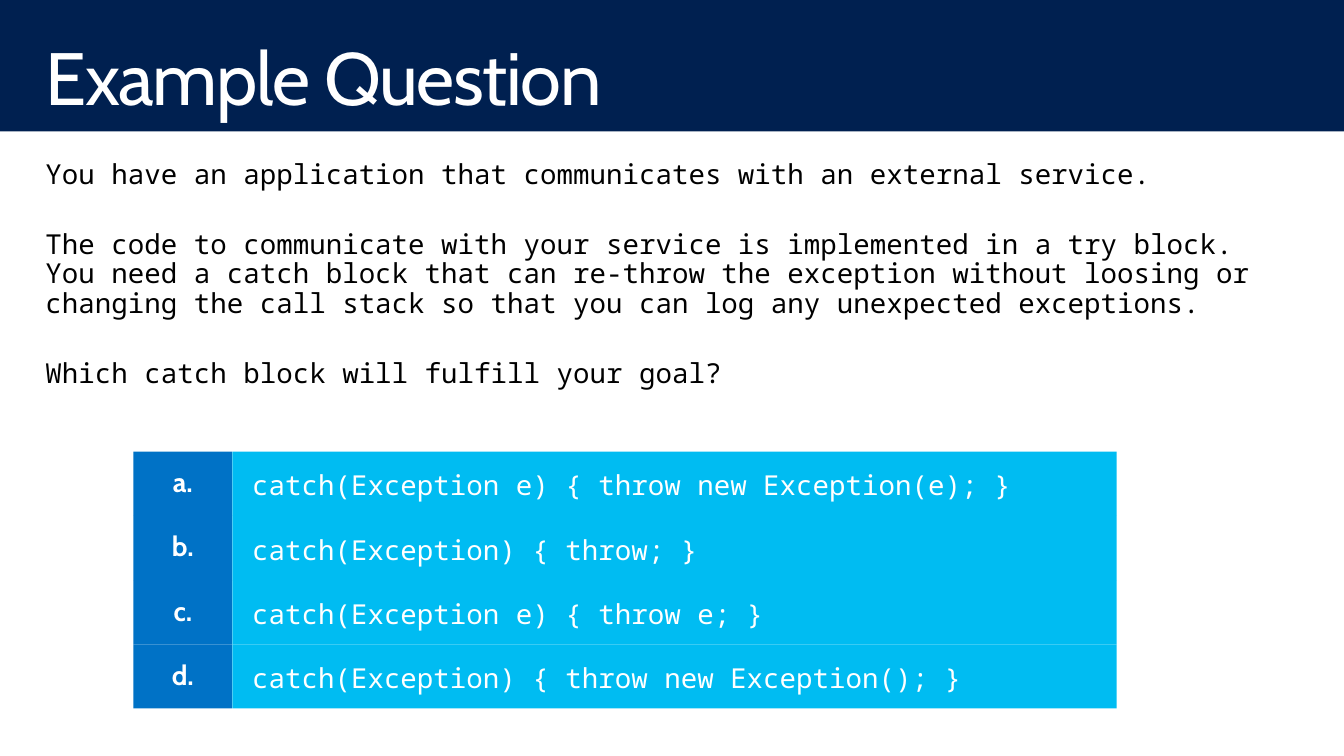
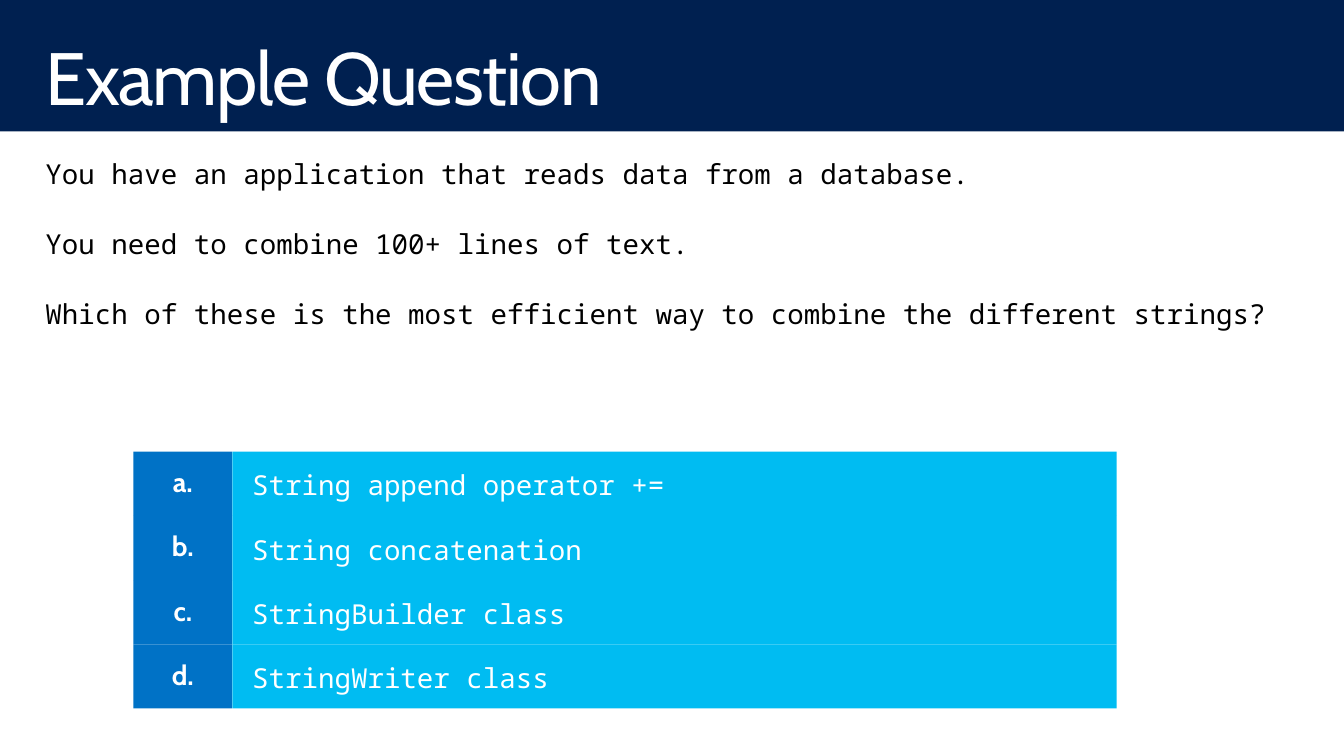
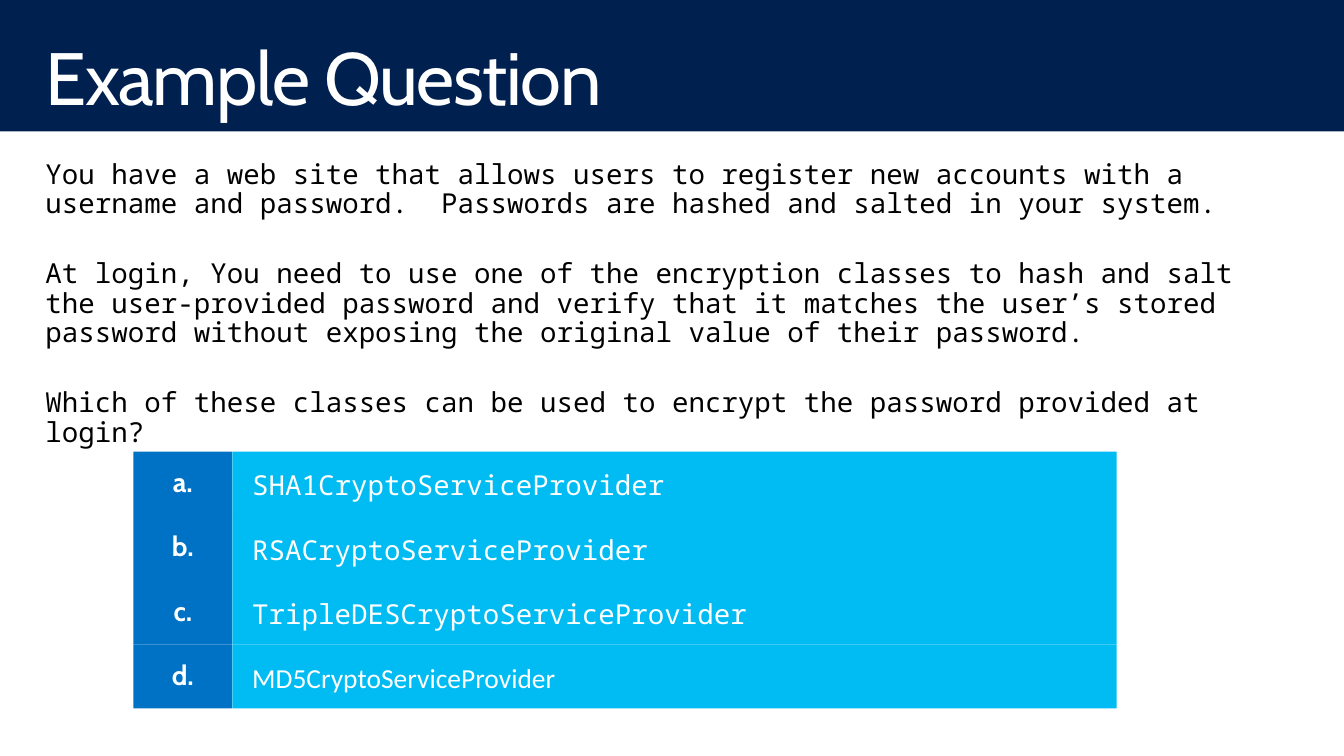
from pptx import Presentation
from pptx.dml.color import RGBColor
from pptx.enum.shapes import MSO_SHAPE
from pptx.enum.text import MSO_ANCHOR, PP_ALIGN
from pptx.util import Cm, Pt

RECT = MSO_SHAPE.RECTANGLE
MIDDLE, TOP = MSO_ANCHOR.MIDDLE, MSO_ANCHOR.TOP
LEFT, CENTER = PP_ALIGN.LEFT, PP_ALIGN.CENTER

# Colours and fonts
NAVY = RGBColor(0x00, 0x20, 0x50)
BLUE = RGBColor(0x00, 0x72, 0xC6)
SKY = RGBColor(0x00, 0xBC, 0xF2)
WHITE = RGBColor(0xFF, 0xFF, 0xFF)
BLACK = RGBColor(0x00, 0x00, 0x00)
HEAD, MONO, SANS = "Cabin", "Noto Sans Mono", "Calibri"

# Page and answer grid
SLIDE_W, SLIDE_H = Cm(34.54), Cm(19.43)
BAND_H = Cm(3.38)
TEXT_X, TEXT_W = Cm(0.76), Cm(33.02)
GRID_X, GRID_Y = Cm(3.43), Cm(11.61)
LETTER_W, ANSWER_W, ROW_H = Cm(2.54), Cm(22.73), Cm(1.65)

# Text styles
TEXT_INSETS = (Cm(0.41), Cm(0.25))
CELL_INSETS = (Cm(0.51), Cm(0.41))
TITLE_FONT = {"name": HEAD, "size": Pt(54)}
BODY_FONT = {"name": MONO, "size": Pt(20)}
LETTER_FONT = {"name": HEAD, "size": Pt(20), "bold": True}
TITLE_PAR = {"alignment": LEFT, "line_spacing": 0.9}
BODY_PAR = {"alignment": LEFT, "line_spacing": Pt(21.6)}
LETTER_PAR = {"alignment": CENTER, "line_spacing": 0.9}
ANSWER_PAR = {"alignment": LEFT, "line_spacing": 1.07}
QUESTION_GAP = Pt(29.4)

TITLE = "Example Question"
QUESTIONS = [
    (
        ["You have an application that communicates with an external service.",
         "The code to communicate with your service is implemented in a try block. "
         "You need a catch block that can re-throw the exception without loosing or "
         "changing the call stack so that you can log any unexpected exceptions.",
         "Which catch block will fulfill your goal?"],
        [("catch(Exception e) { throw new Exception(e); }", MONO),
         ("catch(Exception) { throw; }", MONO),
         ("catch(Exception e) { throw e; }", MONO),
         ("catch(Exception) { throw new Exception(); }", MONO)],
    ),
    (
        ["You have an application that reads data from a database.",
         "You need to combine 100+ lines of text.",
         "Which of these is the most efficient way to combine the different strings?"],
        [("String append operator +=", MONO),
         ("String concatenation", MONO),
         ("StringBuilder class", MONO),
         ("StringWriter class", MONO)],
    ),
    (
        ["You have a web site that allows users to register new accounts with a "
         "username and password.  Passwords are hashed and salted in your system.",
         "At login, You need to use one of the encryption classes to hash and salt "
         "the user-provided password and verify that it matches the user’s stored "
         "password without exposing the original value of their password.",
         "Which of these classes can be used to encrypt the password provided at login?"],
        [("SHA1CryptoServiceProvider", MONO),
         ("RSACryptoServiceProvider", MONO),
         ("TripleDESCryptoServiceProvider", MONO),
         ("MD5CryptoServiceProvider", SANS)],
    ),
]


def apply(target, values):
    for name, value in values.items():
        setattr(target, name, value)


def write(tf, lines, font, color, par, insets, anchor=TOP, gap=Pt(0)):
    """Fill a text frame with equally styled paragraphs."""
    side, edge = insets
    apply(tf, {"word_wrap": True, "vertical_anchor": anchor,
               "margin_left": side, "margin_right": side,
               "margin_top": edge, "margin_bottom": edge})
    for i, line in enumerate(lines):
        p = tf.paragraphs[0] if i == 0 else tf.add_paragraph()
        apply(p, par)
        p.space_before = gap if i else Pt(0)
        r = p.add_run()
        r.text = line
        apply(r.font, font)
        r.font.color.rgb = color


def add_block(s, x, y, w, h, color):
    sp = s.shapes.add_shape(RECT, x, y, w, h)
    sp.shadow.inherit = False
    sp.fill.solid()
    sp.fill.fore_color.rgb = color
    sp.line.fill.background()
    return sp


def add_title(s, text):
    tf = s.shapes.add_textbox(TEXT_X, Cm(0.81), TEXT_W, Cm(2.54)).text_frame
    write(tf, [text], TITLE_FONT, WHITE, TITLE_PAR, TEXT_INSETS)
    # Tighten the letters by one point
    tf.paragraphs[0].runs[0].font._element.set("spc", "-100")


def add_question(s, lines):
    tf = s.shapes.add_textbox(TEXT_X, Cm(3.86), TEXT_W, Cm(7.3)).text_frame
    write(tf, lines, BODY_FONT, BLACK, BODY_PAR, TEXT_INSETS, gap=QUESTION_GAP)


def add_answers(s, answers):
    for i, (letter, (text, face)) in enumerate(zip("abcd", answers)):
        y = GRID_Y + i * ROW_H
        sp = add_block(s, GRID_X, y, LETTER_W, ROW_H, BLUE)
        write(sp.text_frame, [letter + "."], LETTER_FONT, WHITE, LETTER_PAR,
              CELL_INSETS, MIDDLE)
        sp = add_block(s, GRID_X + LETTER_W, y, ANSWER_W, ROW_H, SKY)
        write(sp.text_frame, [text], {**BODY_FONT, "name": face}, WHITE,
              ANSWER_PAR, CELL_INSETS, MIDDLE)


def main():
    prs = Presentation()
    prs.slide_width, prs.slide_height = SLIDE_W, SLIDE_H

    # Shared navy background
    fill = prs.slide_master.background.fill
    fill.solid()
    fill.fore_color.rgb = NAVY

    for lines, answers in QUESTIONS:
        s = prs.slides.add_slide(prs.slide_layouts[6])
        add_block(s, 0, BAND_H, SLIDE_W, SLIDE_H - BAND_H, WHITE)
        add_title(s, TITLE)
        add_question(s, lines)
        add_answers(s, answers)

    prs.save("out.pptx")


if __name__ == "__main__":
    main()
